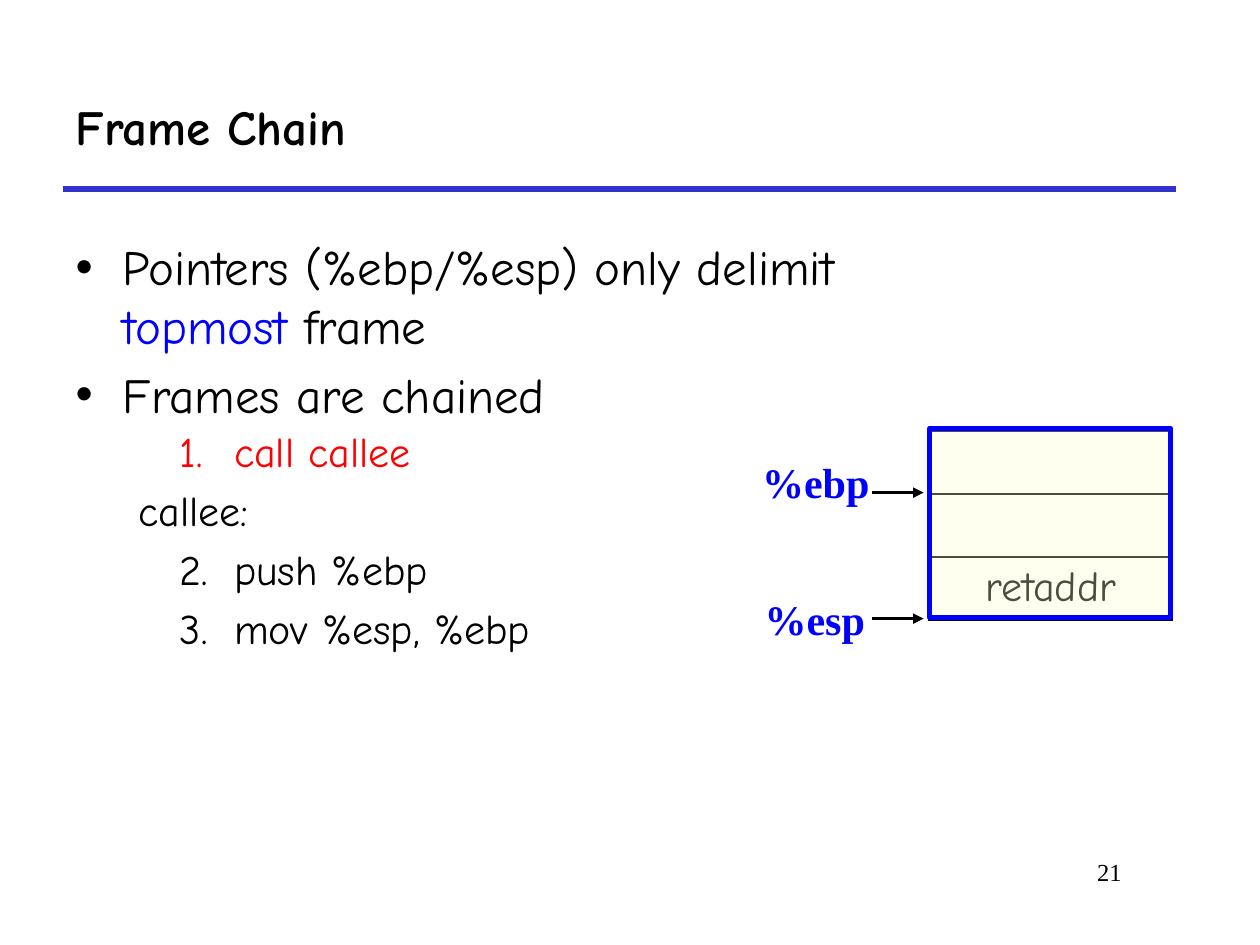
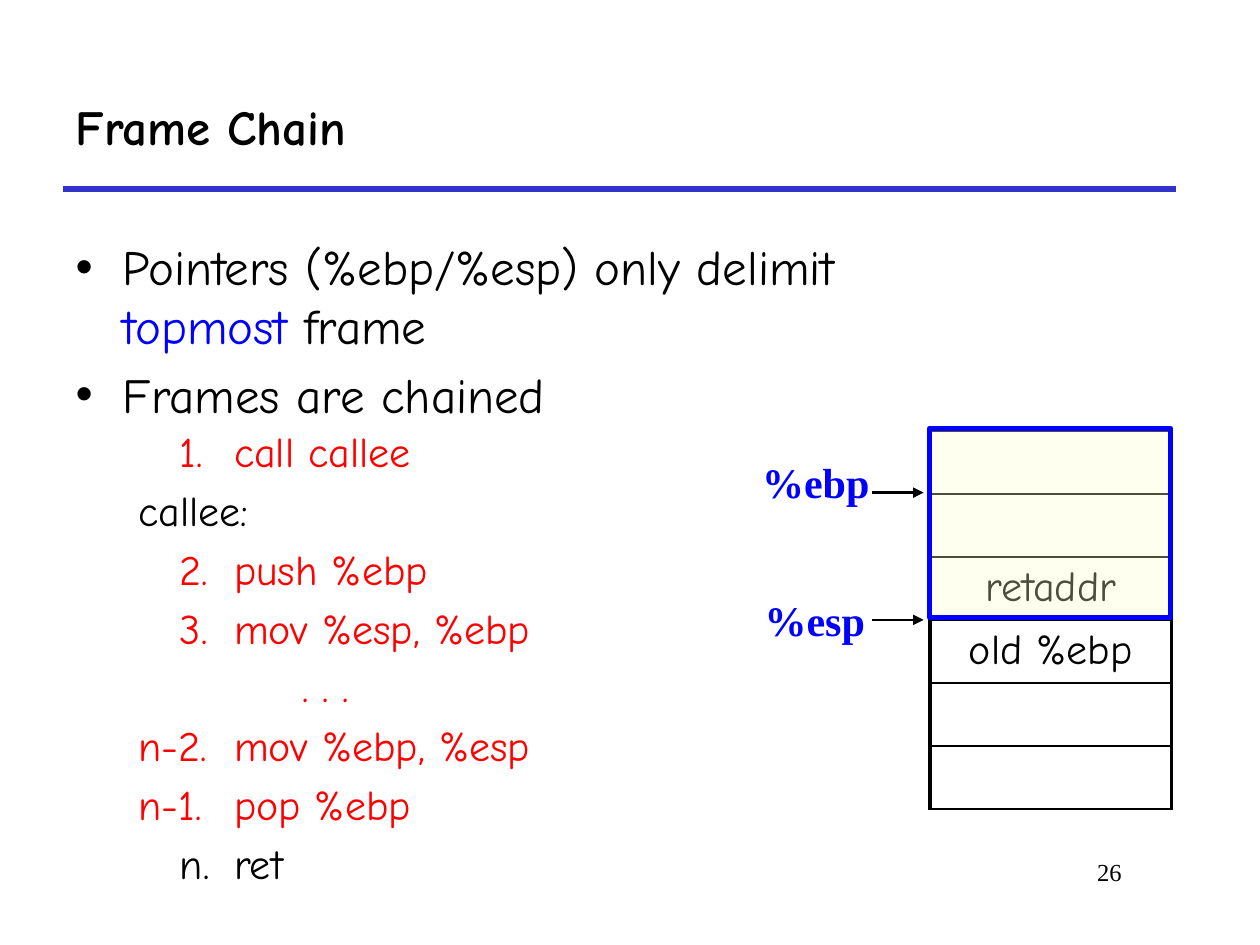
from lxml.etree import SubElement
from pptx import Presentation
from pptx.dml.color import RGBColor
from pptx.enum.shapes import MSO_CONNECTOR, MSO_SHAPE
from pptx.enum.text import MSO_ANCHOR, MSO_AUTO_SIZE, PP_ALIGN
from pptx.oxml.ns import qn
from pptx.util import Inches, Pt

COLORS = {
    "ink": "000000",
    "paper": "FFFFFF",
    "rule": "3333CC",
    "register": "0000FF",
    "done": "FF0000",
    "frame": "FFFFCC",
}
HAND, SERIF = "Comic Neue", "Times New Roman"
GRID = 0.5
STACK_LEFT, STACK_TOP, STACK_WIDTH = 14.76, 6.84, 3.84
FRAME_TOP, FRAME_ROWS = 6.8, 3
ARROW_LEFT, ARROW_RIGHT = 13.84, 14.67

LABEL_INDENT, STEP_INDENT, DOTS_INDENT, CODE_INDENT = 0.5, 0.83, 1.8, 1.26
STEPS = [
    ("1.\tcall callee", STEP_INDENT),
    ("callee:", LABEL_INDENT),
    ("2.\tpush %ebp", STEP_INDENT),
    ("3.\tmov %esp, %ebp", STEP_INDENT),
    (". . .", DOTS_INDENT),
    ("n-2.\tmov %ebp, %esp", LABEL_INDENT),
    ("n-1.\tpop %ebp", LABEL_INDENT),
    ("n.\tret", STEP_INDENT),
]


def grid(*cells):
    return [Inches(round(cell * GRID, 2)) for cell in cells]


def color(name):
    return RGBColor.from_string(COLORS[name])


def write(paragraph, text, size=24, font=HAND, ink="ink", bold=False, align=None):
    run = paragraph.add_run()
    run.text = text
    run.font.size = Pt(size)
    run.font.name = font
    run.font.bold = bold
    run.font.color.rgb = color(ink)
    if align is not None:
        paragraph.alignment = align


def next_paragraph(frame, index, size):
    if index == 0:
        return frame.paragraphs[0]
    paragraph = frame.add_paragraph()
    paragraph.space_before = Pt(size * 0.2)
    return paragraph


def place(shape, *box):
    shape.left, shape.top, shape.width, shape.height = grid(*box)
    shape.text_frame.auto_size = MSO_AUTO_SIZE.NONE


def add_box(slide, *box, wrap=True):
    frame = slide.shapes.add_textbox(*grid(*box)).text_frame
    frame.word_wrap = wrap
    return frame


def add_line(slide, start, end, ink, width, arrow=False):
    line = slide.shapes.add_connector(MSO_CONNECTOR.STRAIGHT, *grid(*start, *end))
    line.line.color.rgb = color(ink)
    line.line.width = Pt(width)
    properties = line._element.spPr
    if arrow:
        SubElement(properties.find(qn("a:ln")), qn("a:tailEnd"), type="triangle")
    SubElement(properties, qn("a:effectLst"))


def add_base(slide, title, number):
    add_line(slide, (1, 3), (18.66, 3), "rule", 3)
    place(slide.shapes.title, 1, 1, 17.66, 2)
    frame = slide.shapes.title.text_frame
    frame.vertical_anchor = MSO_ANCHOR.MIDDLE
    write(frame.paragraphs[0], title, size=28, bold=True, align=PP_ALIGN.LEFT)
    page = add_box(slide, 15.16, 13.5, 2.84, 1)
    write(page.paragraphs[0], str(number), size=14, font=SERIF, align=PP_ALIGN.RIGHT)


def add_bullets(slide, bullets):
    body = slide.placeholders[1]
    place(body, 1, 3.66, 13.26, 3.34)
    for index, parts in enumerate(bullets):
        paragraph = next_paragraph(body.text_frame, index, 28)
        for text, ink in parts:
            write(paragraph, text, size=28, ink=ink)


def add_steps(slide, steps, done):
    frame = add_box(slide, 1, 6.66, 10, len(steps))
    for index, (text, indent) in enumerate(steps):
        paragraph = next_paragraph(frame, index, 24)
        margin = CODE_INDENT if "\t" in text else indent
        properties = paragraph._p.get_or_add_pPr()
        properties.set("marL", str(Inches(margin)))
        properties.set("indent", str(Inches(round(indent - margin, 2))))
        finished = index < done and not text.endswith(":")
        write(paragraph, text, ink="done" if finished else "ink")


def add_borders(cell):
    properties = cell._tc.get_or_add_tcPr()
    for side, width in (("L", 2.25), ("R", 2.25), ("T", 1), ("B", 1)):
        border = SubElement(properties, qn(f"a:ln{side}"), w=str(Pt(width)))
        fill = SubElement(border, qn("a:solidFill"))
        SubElement(fill, qn("a:srgbClr"), val=COLORS["ink"])


def add_stack(slide, entries):
    box = grid(STACK_LEFT, STACK_TOP, STACK_WIDTH, len(entries))
    table = slide.shapes.add_table(len(entries), 1, *box).table
    table.first_row = table.horz_banding = False
    for row, entry in enumerate(entries):
        cell = table.cell(row, 0)
        add_borders(cell)
        cell.fill.solid()
        cell.fill.fore_color.rgb = color("paper")
        if entry:
            write(cell.text_frame.paragraphs[0], entry, align=PP_ALIGN.CENTER)


def add_frame(slide):
    box = grid(STACK_LEFT, FRAME_TOP, STACK_WIDTH - 0.02, FRAME_ROWS)
    frame = slide.shapes.add_shape(MSO_SHAPE.RECTANGLE, *box)
    frame.shadow.inherit = False
    frame.fill.solid()
    frame.fill.fore_color.rgb = color("frame")
    tint = frame._element.spPr.find(qn("a:solidFill"))[0]
    SubElement(tint, qn("a:alpha"), val="30000")
    frame.line.color.rgb = color("register")
    frame.line.width = Pt(3)


def add_pointer(slide, name, left, label_top, arrow_row):
    label = add_box(slide, left, label_top, 2.1, 1.02, wrap=False)
    write(label.paragraphs[0], name, font=SERIF, ink="register", bold=True)
    add_line(slide, (ARROW_LEFT, arrow_row), (ARROW_RIGHT, arrow_row), "ink", 1.5, arrow=True)


def add_chain_slide(presentation, number, steps, done, entries, esp_shift=0):
    slide = presentation.slides.add_slide(presentation.slide_layouts[1])
    add_base(slide, "Frame Chain", number)
    add_bullets(slide, [
        [("Pointers (%ebp/%esp) only delimit ", "ink"), ("topmost ", "register"), ("frame", "ink")],
        [("Frames are chained", "ink")],
    ])
    add_stack(slide, entries)
    add_frame(slide)
    add_pointer(slide, "%ebp", 11.9, 7.14, 7.82)
    add_pointer(slide, "%esp", 11.94, 9.32 + esp_shift, 9.82 + esp_shift)
    add_steps(slide, steps, done)


def main():
    presentation = Presentation()
    presentation.slide_width, presentation.slide_height = grid(20, 15)
    caller = ["", "", "retaddr"]
    add_chain_slide(presentation, 21, STEPS[:4], 1, caller)
    add_chain_slide(presentation, 26, STEPS, 7, caller + ["old %ebp", "", ""], esp_shift=0.02)
    presentation.save("out.pptx")


if __name__ == "__main__":
    main()
